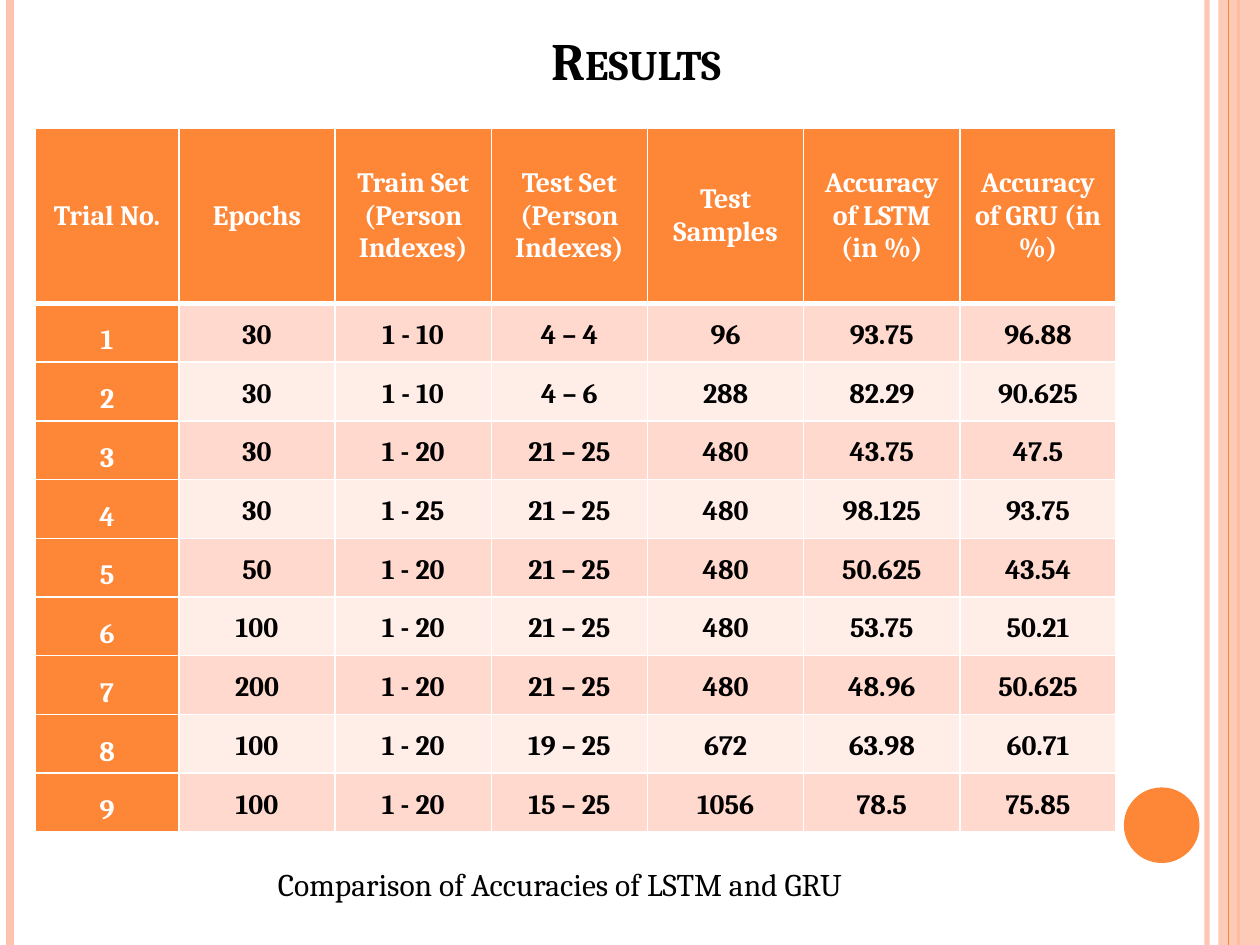
from lxml.etree import SubElement
from pptx import Presentation
from pptx.dml.color import RGBColor as Color
from pptx.enum.shapes import MSO_CONNECTOR as Connector, MSO_SHAPE as Shape
from pptx.enum.text import MSO_ANCHOR as Anchor, PP_ALIGN as Align
from pptx.oxml import parse_xml
from pptx.oxml.ns import nsdecls, qn
from pptx.util import Inches, Pt

THEME = {
    "font": "Cambria",
    "orange": "FE8637",
    "peach": "FEC3AE",
    "bands": ("FFD9CE", "FFEDE8"),
    "white": "FFFFFF",
    "black": "000000",
    "title": 30,
    "caption": 18,
    "cell": 16,
}


def place(left, top, width, height):
    return [round(share * side / 100) for share, side in
            zip((left, top, width, height), (deck.slide_width, deck.slide_height) * 2)]


def write(frame, text, size, color, bold=False, spacing=None):
    para = frame.paragraphs[0]
    para.alignment = Align.CENTER
    para.line_spacing = spacing
    span = para.add_run()
    span.text = text
    style = {"name": THEME["font"], "size": Pt(size), "bold": bold}
    for name, value in style.items():
        setattr(span.font, name, value)
    span.font.color.rgb = Color.from_string(color)
    return span


deck = Presentation()
deck.slide_width, deck.slide_height = Inches(10), Inches(7.5)
page = deck.slides.add_slide(deck.slide_layouts[6])

rules = [(95.8, "peach", 3, 93), (0.8, "peach", 4.5, 100), (98.3, "orange", 1.5, 100),
         (96.7, "peach", None, 87), (97.5, "orange", 0.75, 100)]
for left, color, weight, opacity in rules:
    if weight:
        x, top, _, bottom = place(left, 0, 0, 100)
        stripe = page.shapes.add_connector(Connector.STRAIGHT, x, top, x, bottom)
        stripe.line.color.rgb = Color.from_string(THEME[color])
        stripe.line.width = Pt(weight)
        SubElement(stripe.element.spPr, qn("a:effectLst"))
    else:
        stripe = page.shapes.add_shape(Shape.RECTANGLE, *place(left, 0, 100 - left, 100))
        stripe.shadow.inherit = False
        stripe.fill.solid()
        stripe.fill.fore_color.rgb = Color.from_string(THEME[color])
        stripe.line.fill.background()
    if opacity < 100:
        tint = next(stripe.element.iter(qn("a:srgbClr")))
        SubElement(tint, qn("a:alpha"), val=str(opacity * 1000))

disc = page.shapes.add_shape(Shape.OVAL, *place(89.2, 83.33, 6, 8))
disc.shadow.inherit = False
disc.fill.solid()
disc.fill.fore_color.rgb = Color.from_string(THEME["orange"])
disc.line.fill.background()

headings = ["Trial No.", "Epochs", "Train Set (Person Indexes)", "Test Set (Person Indexes)",
            "Test Samples", "Accuracy of LSTM (in %)", "Accuracy of GRU (in %)"]
trials = [
    ("30", "1 - 10", "4 – 4", "96", "93.75", "96.88"),
    ("30", "1 - 10", "4 – 6", "288", "82.29", "90.625"),
    ("30", "1 - 20", "21 – 25", "480", "43.75", "47.5"),
    ("30", "1 - 25", "21 – 25", "480", "98.125", "93.75"),
    ("50", "1 - 20", "21 – 25", "480", "50.625", "43.54"),
    ("100", "1 - 20", "21 – 25", "480", "53.75", "50.21"),
    ("200", "1 - 20", "21 – 25", "480", "48.96", "50.625"),
    ("100", "1 - 20", "19 – 25", "672", "63.98", "60.71"),
    ("100", "1 - 20", "15 – 25", "1056", "78.5", "75.85"),
]
rows = [headings] + [(str(number), *trial) for number, trial in enumerate(trials, 1)]
widths = [11.4] + [12.4] * 6
heights = [18.5] + [6.22] * len(trials)

results = page.shapes.add_table(len(rows), len(headings),
                                *place(2.8, 13.6, sum(widths), sum(heights))).table
results.first_row = results.horz_banding = False
for column, width in zip(results.columns, widths):
    column.width = place(0, 0, width, 0)[2]
for row, height in zip(results.rows, heights):
    row.height = place(0, 0, 0, height)[3]

cell_format = {"vertical_anchor": Anchor.MIDDLE, "margin_left": Inches(0.07),
               "margin_right": Inches(0.07), "margin_top": 0, "margin_bottom": 0}
for r, values in enumerate(rows):
    for c, value in enumerate(values):
        cell = results.cell(r, c)
        for name, setting in cell_format.items():
            setattr(cell, name, setting)
        label = r == 0 or c == 0
        spacing = None if r == 0 else 1.5 if c == 0 else 1.15
        cell.fill.solid()
        cell.fill.fore_color.rgb = Color.from_string(
            THEME["orange"] if label else THEME["bands"][(r - 1) % 2])
        write(cell.text_frame, value, THEME["cell"], THEME["white" if label else "black"],
              True, spacing)
        borders = {"lnL": 1, "lnR": 1, "lnT": 3 if r == 1 else 1, "lnB": 3 if r == 0 else 1}
        for index, (side, weight) in enumerate(borders.items()):
            cell.fill
            cell._tc.get_or_add_tcPr().insert(index, parse_xml(
                f'<a:{side} {nsdecls("a")} w="{Pt(weight)}"><a:solidFill>'
                f'<a:srgbClr val="{THEME["white"]}"/></a:solidFill></a:{side}>'))

title = page.shapes.add_textbox(*place(39.8, 1.73, 21.4, 8.53)).text_frame
title.word_wrap = True
title.vertical_anchor = Anchor.BOTTOM
heading = write(title, "Results", THEME["title"], THEME["black"], True)
heading.font._element.set("cap", "small")

caption = page.shapes.add_textbox(*place(4.3, 90.93, 80.3, 5.33)).text_frame
caption.word_wrap = True
write(caption, "Comparison of Accuracies of LSTM and GRU", THEME["caption"], THEME["black"])

deck.save("out.pptx")
